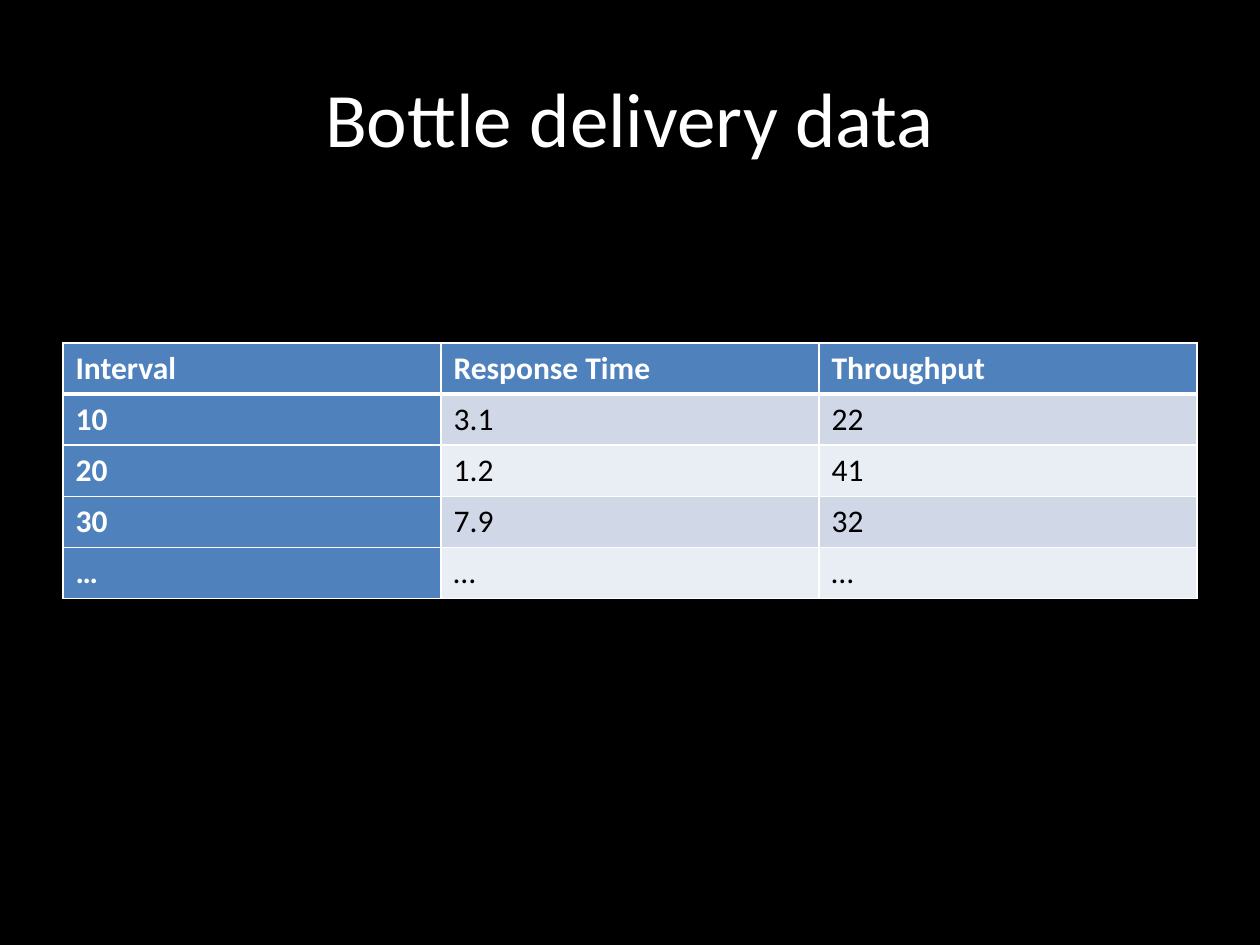
from dataclasses import dataclass

import lxml.etree
import pptx
import pptx.dml.color
import pptx.enum.text
import pptx.oxml.ns
import pptx.util

Pt = pptx.util.Pt
qn = pptx.oxml.ns.qn


@dataclass(frozen=True)
class Theme:
    font: str = "Calibri"
    title_size: int = 44
    cell_size: int = 18
    background: str = "000000"
    light: str = "FFFFFF"
    dark: str = "000000"
    accent: str = "4F81BD"
    bands: tuple[str, str] = ("D0D8E8", "E9EDF4")
    rule: float = 1
    header_rule: float = 3


@dataclass(frozen=True)
class Box:
    left: float
    top: float
    width: float
    height: float

    def lengths(self) -> tuple:
        return Pt(self.left), Pt(self.top), Pt(self.width), Pt(self.height)


THEME = Theme()
TITLE_BOX = Box(36, 21.6, 648, 90)
TABLE_BOX = Box(36, 196, 648, 146)
ROWS = [
    ("Interval", "Response Time", "Throughput"),
    ("10", "3.1", "22"),
    ("20", "1.2", "41"),
    ("30", "7.9", "32"),
    ("…", "…", "…"),
]


def rgb(value: str) -> pptx.dml.color.RGBColor:
    return pptx.dml.color.RGBColor.from_string(value)


def add_run(p, text: str, size: float, color: str, bold: bool = False) -> None:
    r = p.add_run()
    r.text = text
    r.font.name = THEME.font
    r.font.size = Pt(size)
    r.font.bold = bold
    r.font.color.rgb = rgb(color)


def add_title(s, text: str, box: Box) -> None:
    tf = s.shapes.add_textbox(*box.lengths()).text_frame
    tf.word_wrap = True
    tf.vertical_anchor = pptx.enum.text.MSO_ANCHOR.MIDDLE
    p = tf.paragraphs[0]
    p.alignment = pptx.enum.text.PP_ALIGN.CENTER
    add_run(p, text, THEME.title_size, THEME.light)


def set_borders(cell, top: float, bottom: float) -> None:
    tc_pr = cell._tc.get_or_add_tcPr()
    widths = {"L": THEME.rule, "R": THEME.rule, "T": top, "B": bottom}
    for side, width in widths.items():
        ln = lxml.etree.SubElement(tc_pr, qn(f"a:ln{side}"), w=str(Pt(width)))
        fill = lxml.etree.SubElement(ln, qn("a:solidFill"))
        lxml.etree.SubElement(fill, qn("a:srgbClr"), val=THEME.light)


def add_data_table(s, rows: list[tuple[str, ...]], box: Box) -> None:
    table = s.shapes.add_table(len(rows), len(rows[0]), *box.lengths()).table
    table.first_col = True
    for row in table.rows:
        row.height = Pt(box.height / len(rows))
    for i, values in enumerate(rows):
        for j, text in enumerate(values):
            cell = table.cell(i, j)
            heading = i == 0 or j == 0
            # The heavy rule lies on the edge shared by the first two rows
            set_borders(
                cell,
                top=THEME.header_rule if i == 1 else THEME.rule,
                bottom=THEME.header_rule if i == 0 else THEME.rule,
            )
            cell.fill.solid()
            cell.fill.fore_color.rgb = rgb(
                THEME.accent if heading else THEME.bands[(i - 1) % 2])
            add_run(cell.text_frame.paragraphs[0], text, THEME.cell_size,
                    THEME.light if heading else THEME.dark, heading)


def main() -> None:
    # Slide and background
    prs = pptx.Presentation()
    prs.slide_width, prs.slide_height = Pt(720), Pt(540)
    s = prs.slides.add_slide(prs.slide_layouts[6])
    s.background.fill.solid()
    s.background.fill.fore_color.rgb = rgb(THEME.background)

    # Content
    add_title(s, "Bottle delivery data", TITLE_BOX)
    add_data_table(s, ROWS, TABLE_BOX)

    prs.save("out.pptx")


if __name__ == "__main__":
    main()
